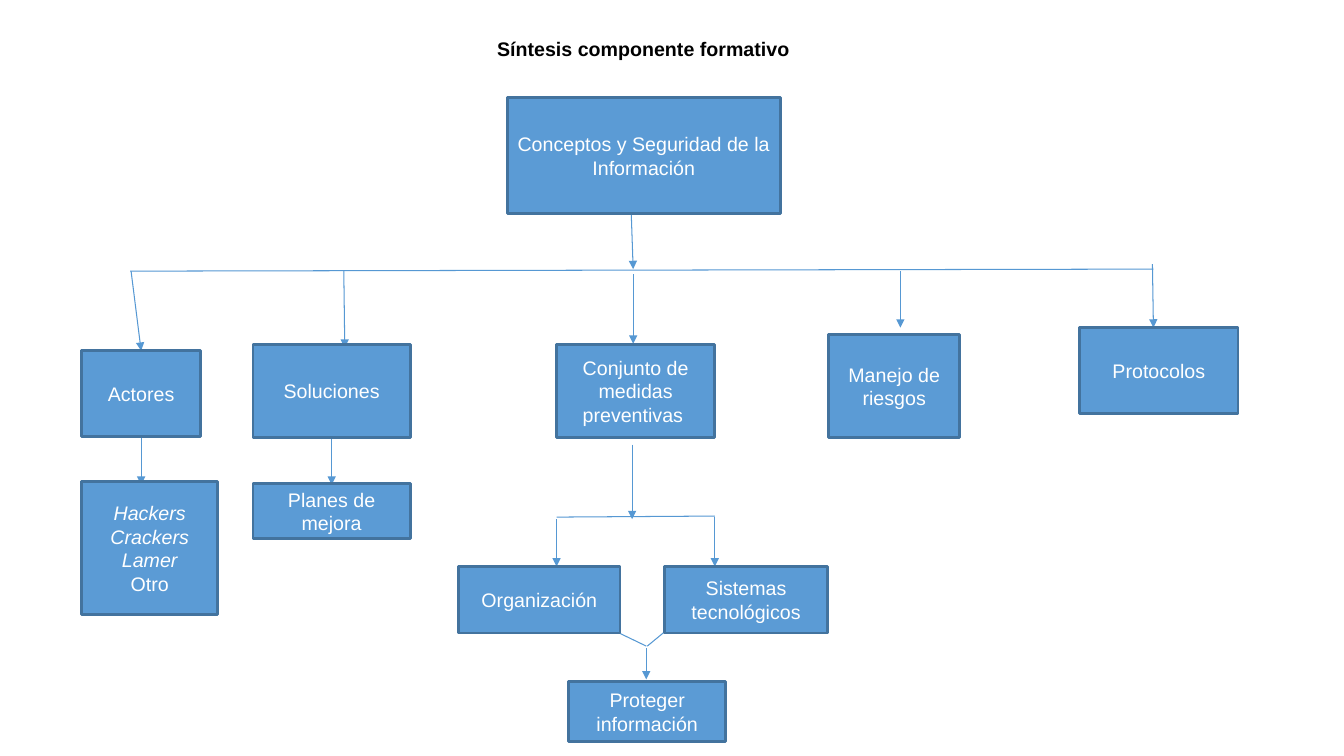
"""Build a concept map slide on information security."""
from lxml.etree import SubElement
from pptx import Presentation
from pptx.dml.color import RGBColor
from pptx.enum.shapes import MSO_CONNECTOR, MSO_SHAPE
from pptx.enum.text import MSO_ANCHOR, MSO_AUTO_SIZE, PP_ALIGN
from pptx.oxml.ns import qn
from pptx.util import Inches, Pt

COLORS = {"box": "5B9BD5", "border": "43739E", "link": "5698D3",
          "title": "000000", "text": "FFFFFF"}


def color(role):
    return RGBColor.from_string(COLORS[role])


def style_text(paragraph, role, alignment):
    paragraph.alignment = alignment
    paragraph.font.name = "Arial"
    paragraph.font.size = Pt(14)
    paragraph.font.color.rgb = color(role)


presentation = Presentation()
presentation.slide_width = Inches(13.33)
presentation.slide_height = Inches(7.5)
slide = presentation.slides.add_slide(presentation.slide_layouts[5])

title = slide.shapes.title
title.left, title.top, title.width, title.height = map(Inches, (4.83, 0.32, 3.12, 0.34))
title_frame = title.text_frame
title_frame.text = "Síntesis componente formativo"
title_frame.word_wrap = False
title_frame.auto_size = MSO_AUTO_SIZE.SHAPE_TO_FIT_TEXT
title_frame.vertical_anchor = MSO_ANCHOR.TOP
style_text(title_frame.paragraphs[0], "title", PP_ALIGN.LEFT)
title_frame.paragraphs[0].font.bold = True

branches = [
    (1.29, 2.69, 11.44, 2.67),
    (5.52, 5.13, 7.09, 5.12),
    (6.12, 6.27, 6.41, 6.41),
    (6.59, 6.27, 6.42, 6.41),
]
arrows = [
    (6.26, 2.09, 6.28, 2.67),
    (1.3, 2.69, 1.4, 3.48),
    (3.41, 2.69, 3.42, 3.45),
    (6.28, 2.72, 6.28, 3.41),
    (8.93, 2.69, 8.93, 3.25),
    (11.43, 2.62, 11.44, 3.25),
    (1.4, 4.34, 1.4, 4.81),
    (3.29, 4.34, 3.29, 4.81),
    (6.27, 4.41, 6.27, 5.15),
    (5.52, 5.15, 5.52, 5.62),
    (7.09, 5.13, 7.09, 5.62),
    (6.41, 6.43, 6.41, 6.74),
]
for ends in branches + arrows:
    link = slide.shapes.add_connector(MSO_CONNECTOR.STRAIGHT, *map(Inches, ends))
    link.line.color.rgb = color("link")
    link.line.width = Pt(0.75)
    if ends in arrows:
        SubElement(link.line._get_or_add_ln(), qn("a:tailEnd"), type="triangle")
    SubElement(link._element.spPr, qn("a:effectLst"))

concepts = [
    ("Conceptos y Seguridad de la Información", 5.03, 0.97, 2.71, 1.15),
    ("Actores", 0.81, 3.48, 1.18, 0.85),
    ("Soluciones", 2.51, 3.42, 1.56, 0.92),
    ("Conjunto de medidas preventivas ", 5.52, 3.42, 1.57, 0.92),
    ("Manejo de riesgos", 8.22, 3.32, 1.3, 1.02),
    ("Protocolos", 10.71, 3.25, 1.57, 0.85),
    ("Hackers\nCrackers\nLamer\nOtro", 0.81, 4.78, 1.35, 1.32),
    ("Planes de mejora", 2.51, 4.8, 1.56, 0.54),
    ("Organización", 4.55, 5.62, 1.6, 0.66),
    ("Sistemas tecnológicos", 6.59, 5.62, 1.62, 0.66),
    ("Proteger información", 5.64, 6.76, 1.56, 0.6),
]
for label, *bounds in concepts:
    concept = slide.shapes.add_shape(MSO_SHAPE.RECTANGLE, *map(Inches, bounds))
    concept.shadow.inherit = False
    concept.fill.solid()
    concept.fill.fore_color.rgb = color("box")
    concept.line.color.rgb = color("border")
    concept.line.width = Pt(2)
    concept.text_frame.text = label
    concept.text_frame.word_wrap = True
    concept.text_frame.vertical_anchor = MSO_ANCHOR.MIDDLE
    for paragraph in concept.text_frame.paragraphs:
        style_text(paragraph, "text", PP_ALIGN.CENTER)
        if paragraph.text in ("Hackers", "Crackers", "Lamer"):
            paragraph.font.italic = True

presentation.save("out.pptx")
